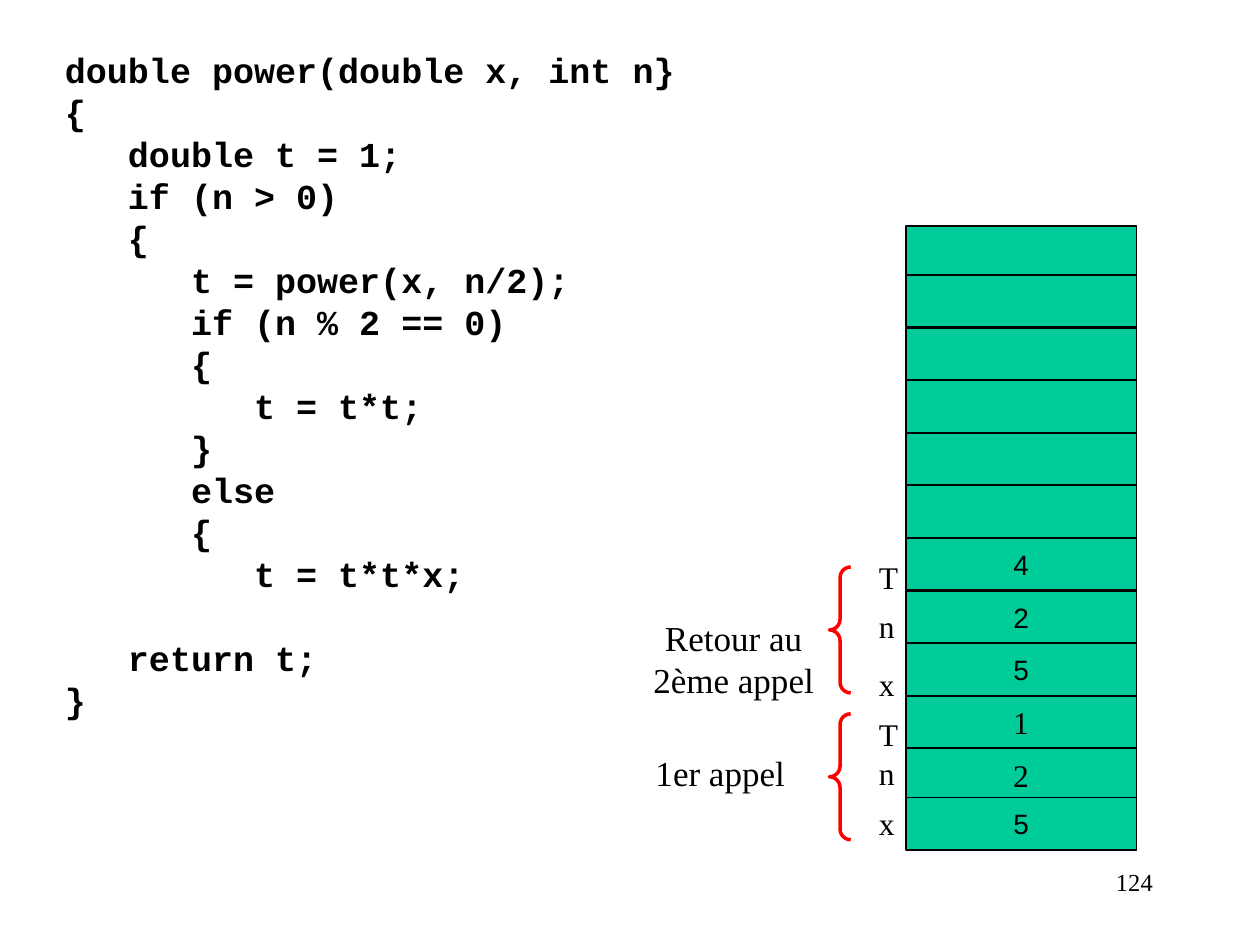
from pptx import Presentation
from pptx.dml.color import RGBColor
from pptx.enum.shapes import MSO_SHAPE
from pptx.enum.text import MSO_ANCHOR, PP_ALIGN
from pptx.util import Cm, Pt

THEME = {
    "ink": RGBColor.from_string("000000"),
    "cell": RGBColor.from_string("00CC99"),
    "brace": RGBColor.from_string("FF0000"),
    "code": ("Courier New", 20, True),
    "caption": ("Times New Roman", 20, False),
    "label": ("Times New Roman", 18, False),
    "value": ("Arial", 16, False),
    "number": ("Times New Roman", 14, False),
}
LINE = 24

CODE = [
    "double power(double x, int n}",
    "{",
    "   double t = 1;",
    "   if (n > 0)",
    "   {",
    "      t = power(x, n/2);",
    "      if (n % 2 == 0)",
    "      {",
    "         t = t*t;",
    "      }",
    "      else",
    "      {",
    "         t = t*t*x;",
]
CODE_END = ["   return t;", "}"]

STACK = [("", "value")] * 6 + [
    ("4", "value"), ("2", "value"), ("5", "value"),
    ("1", "label"), ("2", "label"), ("5", "value"),
]
STACK_LEFT, CELL_W, CELL_H, PITCH = 18.26, 4.65, 1.05, 1.06
FIRST_TOP, SECOND_TOP, LAST_TOP = 4.56, 5.55, 16.08

VARIABLES = [("T", 11.13), ("n", 12.12), ("x", 13.29),
             ("T", 14.29), ("n", 15.08), ("x", 16.08)]
CALLS = [
    (["Retour au", "2ème appel"], (12.69, 12.3, 4.2, 1.96), 11.43),
    (["1er appel"], (12.72, 15.03, 3.6, 1.12), 14.39),
]


def write(tf, lines, style, align=PP_ALIGN.LEFT, leading=None):
    name, size, bold = THEME[style]
    for i, line in enumerate(lines):
        p = tf.paragraphs[0] if i == 0 else tf.add_paragraph()
        p.alignment = align
        if leading:
            p.line_spacing = Pt(leading)
        r = p.add_run()
        r.text = line
        r.font.name, r.font.size, r.font.bold = name, Pt(size), bold
        r.font.color.rgb = THEME["ink"]


def add_text(s, box, lines, style, align=PP_ALIGN.LEFT, leading=None, wrap=True):
    tf = s.shapes.add_textbox(*map(Cm, box)).text_frame
    tf.word_wrap = wrap
    write(tf, lines, style, align, leading)
    return tf


def add_cell(s, top, value, style):
    sp = s.shapes.add_shape(MSO_SHAPE.RECTANGLE, Cm(STACK_LEFT), Cm(top), Cm(CELL_W), Cm(CELL_H))
    sp.shadow.inherit = False
    sp.fill.solid()
    sp.fill.fore_color.rgb = THEME["cell"]
    sp.line.color.rgb = THEME["ink"]
    sp.line.width = Pt(1)
    if value:
        tf = sp.text_frame
        tf.word_wrap = False
        tf.vertical_anchor = MSO_ANCHOR.MIDDLE
        write(tf, [value], style, PP_ALIGN.CENTER)


def add_brace(s, top):
    sp = s.shapes.add_shape(MSO_SHAPE.LEFT_BRACE, Cm(16.72), Cm(top), Cm(0.43), Cm(2.54))
    sp.shadow.inherit = False
    sp.adjustments[0] = sp.adjustments[1] = 0.5
    sp.fill.background()
    sp.line.color.rgb = THEME["brace"]
    sp.line.width = Pt(2)


def main():
    prs = Presentation()
    prs.slide_width, prs.slide_height = Cm(25.4), Cm(19.05)
    s = prs.slides.add_slide(prs.slide_layouts[6])

    add_text(s, (18.21, 17.35, 5.28, 1.27), ["124"], "number", PP_ALIGN.RIGHT)
    tf = add_text(s, (1.06, 0.85, 20.75, 14.66), CODE + CODE_END, "code", leading=LINE)
    tf.paragraphs[len(CODE)].space_before = Pt(LINE)

    for lines, box, brace_top in CALLS:
        add_text(s, box, lines, "caption", PP_ALIGN.CENTER, LINE, wrap=False)
        add_brace(s, brace_top)

    middle = [SECOND_TOP + PITCH * i for i in range(len(STACK) - 2)]
    for top, (value, style) in zip([FIRST_TOP, *middle, LAST_TOP], STACK):
        add_cell(s, top, value, style)

    for name, top in VARIABLES:
        add_text(s, (17.47, top, 0.58, 1.02), [name], "label")

    prs.save("out.pptx")


if __name__ == "__main__":
    main()
